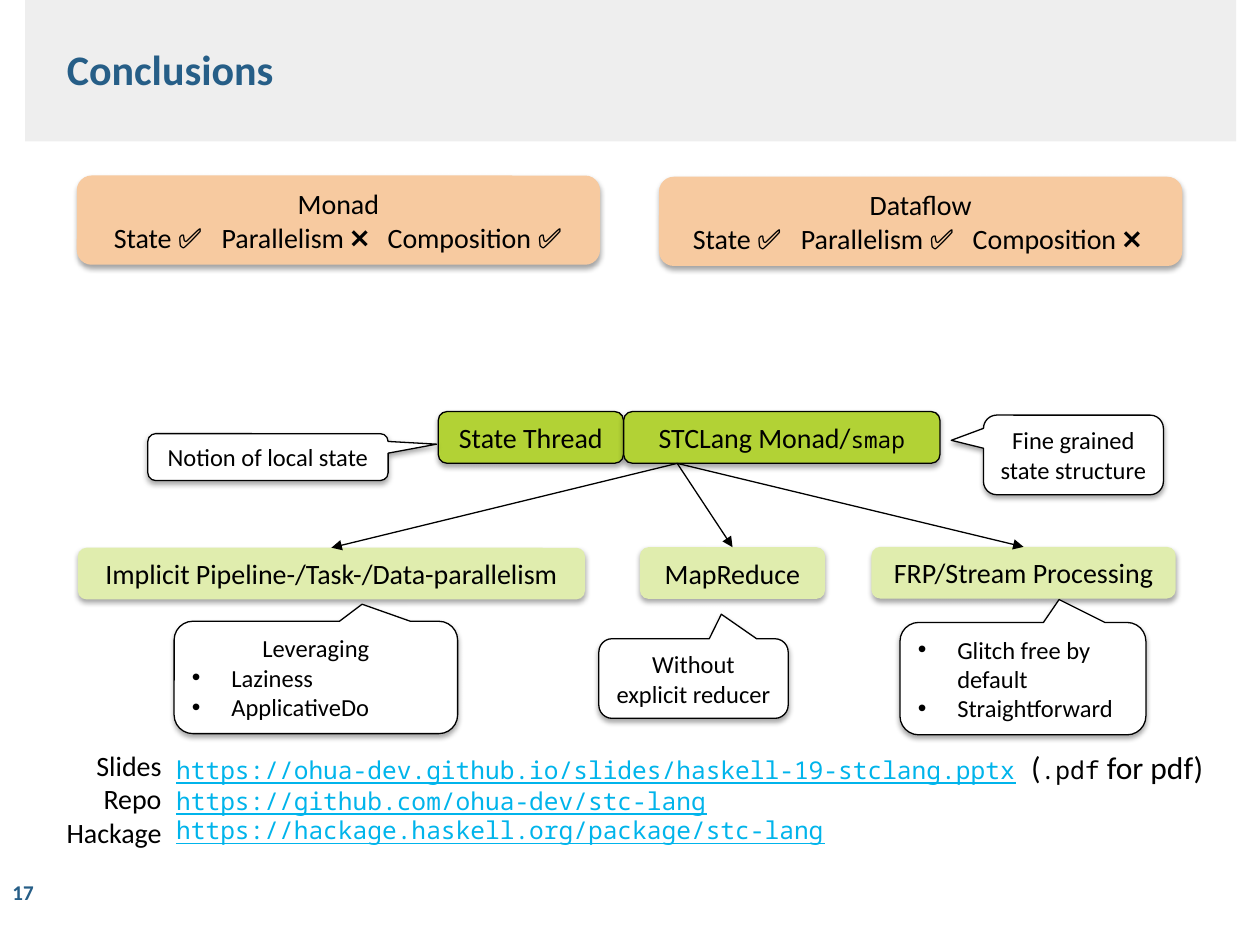
from lxml.etree import SubElement
from pptx import Presentation
from pptx.dml.color import RGBColor
from pptx.enum.shapes import MSO_CONNECTOR as Connector, MSO_SHAPE as Shape
from pptx.enum.text import MSO_ANCHOR as Anchor, PP_ALIGN as Align
from pptx.oxml.ns import qn
from pptx.util import Pt

COLORS = {"band": "EEEEEE", "title": "265E87", "text": "000000", "link": "00B4EB",
          "model": "F7CAA0", "core": "B2D235", "use": "E0EDAE", "note": "FFFFFF"}
COLORS = {name: RGBColor.from_string(value) for name, value in COLORS.items()}
SANS, MONO = "Calibri", "Noto Sans Mono"


def add_span(para, text, size, font=SANS, color="text", bold=False, underline=False):
    span = para.add_run()
    span.text = text
    span.font.size, span.font.name = Pt(size), font
    span.font.color.rgb = COLORS[color]
    span.font.bold, span.font.underline = bold, underline


def add_block(kind, place, color, lines, size=16, outlined=True):
    """Shadowed shape; a line starting with a bullet becomes a list item."""
    box = page.shapes.add_shape(kind, *map(Pt, place))
    box.fill.solid()
    box.fill.fore_color.rgb = COLORS[color]
    if outlined:
        box.line.color.rgb, box.line.width = COLORS["text"], Pt(0.75)
    else:
        box.line.fill.background()
    box.shadow.inherit = False
    effects = box.element.spPr.find(qn("a:effectLst"))
    shade = SubElement(effects, qn("a:outerShdw"), blurRad=str(Pt(3.1)),
                       dist=str(Pt(1.8)), dir="5400000", rotWithShape="0")
    tone = SubElement(shade, qn("a:srgbClr"), val=str(COLORS["text"]))
    SubElement(tone, qn("a:alpha"), val="35000")
    frame = box.text_frame
    frame.word_wrap, frame.vertical_anchor = True, Anchor.MIDDLE
    for index, line in enumerate(lines):
        para = frame.add_paragraph() if index else frame.paragraphs[0]
        para.alignment = Align.CENTER
        if line.startswith("•"):
            para.alignment = Align.LEFT
            props = para._p.get_or_add_pPr()
            props.set("marL", str(Pt(22.5)))
            props.set("indent", str(-Pt(22.5)))
            SubElement(props, qn("a:buFont"), typeface="Arial")
            SubElement(props, qn("a:buChar"), char="•")
        add_span(para, line.lstrip("•"), size)
    return box


deck = Presentation()
deck.slide_width, deck.slide_height = Pt(720), Pt(540)
page = deck.slides.add_slide(deck.slide_layouts[5])

# Header band and title
title = page.shapes.title
title.left, title.top, title.width, title.height = Pt(31), Pt(21), Pt(544), Pt(53)
title.text_frame.vertical_anchor = Anchor.TOP
title.text_frame.paragraphs[0].alignment = Align.LEFT
add_span(title.text_frame.paragraphs[0], "Conclusions", 24, color="title", bold=True)
band = page.shapes.add_shape(Shape.RECTANGLE, Pt(14.4), Pt(0), Pt(692), Pt(80.8))
band.fill.solid()
band.fill.fore_color.rgb = COLORS["band"]
band.line.fill.background()
band.shadow.inherit = False
title.element.addprevious(band.element)

# Page number
number = page.shapes.add_textbox(Pt(0), Pt(494.6), Pt(39.6), Pt(30.2))
number.text_frame.vertical_anchor = Anchor.MIDDLE
add_span(number.text_frame.paragraphs[0], "17", 12, color="title", bold=True)

# Link names and addresses
names = page.shapes.add_textbox(Pt(20.2), Pt(424), Pt(79.2), Pt(65.5)).text_frame
names.word_wrap = True
for index, name in enumerate(["Slides", "Repo", "Hackage"]):
    para = names.add_paragraph() if index else names.paragraphs[0]
    para.alignment = Align.RIGHT
    add_span(para, name, 16)

links = page.shapes.add_textbox(Pt(93.6), Pt(424), Pt(607), Pt(63.4)).text_frame
links.word_wrap = True
for index, address in enumerate([
        "https://ohua-dev.github.io/slides/haskell-19-stclang.pptx",
        "https://github.com/ohua-dev/stc-lang",
        "https://hackage.haskell.org/package/stc-lang"]):
    para = links.add_paragraph() if index else links.paragraphs[0]
    add_span(para, address, 14, MONO, "link", underline=True)
for text, size, font in [(" ", 14, MONO), ("(", 18, SANS), (".pdf", 14, MONO),
                         (" for pdf)", 18, SANS)]:
    add_span(links.paragraphs[0], text, size, font)

# Existing models, their properties set on tab stops
for left, top, name, marks, stops in [
        (43.9, 100.3, "Monad", "✅❌✅", (11.6, 73.2, 168.1)),
        (376.6, 101, "Dataflow", "✅✅❌", (9.8, 71.5, 169.7))]:
    box = add_block(Shape.ROUNDED_RECTANGLE, (left, top, 299, 51), "model", [name],
                    outlined=False)
    para = box.text_frame.add_paragraph()
    para.alignment = Align.LEFT
    tabs = SubElement(para._p.get_or_add_pPr(), qn("a:tabLst"))
    for stop in stops:
        SubElement(tabs, qn("a:tab"), pos=str(Pt(stop)), algn="l")
    for aspect, mark in zip(["State", "Parallelism", "Composition"], marks):
        add_span(para, f"\t{aspect} {mark}", 16)

# Core of the approach
add_block(Shape.ROUNDED_RECTANGLE, (250.5, 235.2, 105.8, 29.5), "core", ["State Thread"])
monad = add_block(Shape.ROUNDED_RECTANGLE, (356.4, 235.2, 180.7, 29.5), "core",
                  ["STCLang Monad/"])
add_span(monad.text_frame.paragraphs[0], "smap", 13, MONO)

# Uses, each reached by an arrow from the core
for left, top, width, label in [
        (44.5, 313, 289.8, "Implicit Pipeline-/Task-/Data-parallelism"),
        (365.7, 312.7, 105.8, "MapReduce"),
        (498, 312.5, 173.8, "FRP/Stream Processing")]:
    use = add_block(Shape.ROUNDED_RECTANGLE, (left, top, width, 29.5), "use", [label],
                    outlined=False)
    arrow = page.shapes.add_connector(Connector.STRAIGHT, Pt(387), Pt(264.8),
                                      Pt(left + width / 2), Pt(top))
    arrow.end_connect(use, 0)
    arrow.line.color.rgb, arrow.line.width = COLORS["text"], Pt(0.75)
    SubElement(arrow.line._get_or_add_ln(), qn("a:tailEnd"), type="triangle")
    SubElement(arrow._element.spPr, qn("a:effectLst"))

# Callouts: place, pointer tip relative to the centre, lines
for place, tip, lines in [
        ((514.3, 355.7, 140.5, 64.2), (0.147, -0.704),
         ["•Glitch free by default", "•Straightforward"]),
        ((342.2, 365, 108.2, 45.5), (0.147, -0.808), ["Without explicit reducer"]),
        ((99.5, 355, 162, 64.2), (0.163, -0.652),
         ["Leveraging", "•Laziness", "•ApplicativeDo"]),
        ((562, 237.2, 102.8, 45.5), (-0.679, -0.183), ["Fine grained state structure"]),
        ((84.5, 247.8, 137.3, 26.8), (0.702, -0.275), ["Notion of local state"])]:
    note = add_block(Shape.ROUNDED_RECTANGULAR_CALLOUT, place, "note", lines, 14)
    note.adjustments[0], note.adjustments[1] = tip

deck.save("out.pptx")
